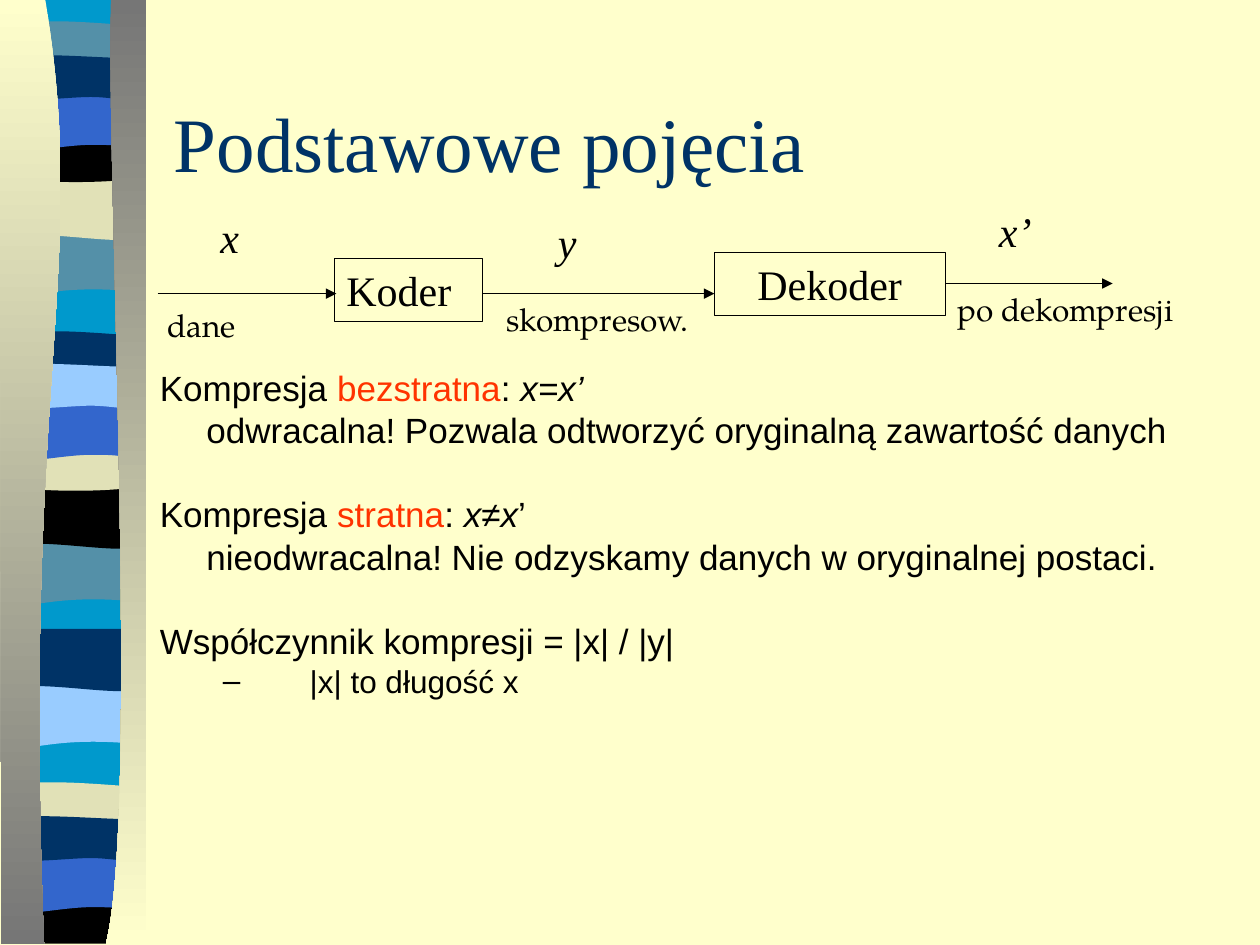
import pptx
import pptx.util
import pptx.dml.color
import pptx.enum.shapes
import pptx.enum.text
import pptx.oxml.ns
import lxml.etree

Inches, Pt = pptx.util.Inches, pptx.util.Pt
Align, Anchor = pptx.enum.text.PP_ALIGN, pptx.enum.text.MSO_ANCHOR
colour = pptx.dml.color.RGBColor.from_string
qn = pptx.oxml.ns.qn

deck = pptx.Presentation()
deck.slide_width, deck.slide_height = Inches(10), Inches(7.5)
page = deck.slides.add_slide(deck.slide_layouts[5])
page.background.fill.solid()
page.background.fill.fore_color.rgb = colour("FFFFCC")


def add_outline(segments, left=0.0, top=0.0):
    """Draw a closed outline: pairs are corners, sextets are cubic curves."""
    points = [(Inches(left + x), Inches(top + y))
              for segment in segments for x, y in zip(segment[::2], segment[1::2])]
    builder = page.shapes.build_freeform(*points[0])
    builder.add_line_segments(points[1:], close=True)
    outline = builder.convert_to_shape()
    outline.shadow.inherit = False
    outline.line.fill.background()
    # Join the three points of each curve into one cubic segment
    lines = iter(list(outline._element.iter(qn("a:lnTo"))))
    for segment in segments[1:]:
        line = next(lines)
        if len(segment) == 6:
            curve = lxml.etree.Element(qn("a:cubicBezTo"))
            line.addprevious(curve)
            for part in (line, next(lines), next(lines)):
                curve.append(part[0])
                part.getparent().remove(part)
    return outline


def write_text(box, text, font, size, italic=False, align=Align.LEFT):
    frame = box.text_frame
    frame.vertical_anchor = Anchor.TOP
    para = frame.paragraphs[0]
    para.text = text
    para.alignment = align
    para.font.name, para.font.size, para.font.italic = font, Pt(size), italic
    para.font.color.rgb = colour("000000")


# Ribbon of wavy bands, each pattern measured from its own top left corner
patterns = {
    "base": [(0, 0), (1.08, 0), (1.08, 7.48), (0, 7.48)],
    "swing": [(0, 0), (1.08, 0), (1.08, 0.47), (0.33, 0.39, 0.18, 0.55, 0, 0.47)],
    "ripple": [(0, 0), (1.08, 0), (1.08, 0.47), (0.9, 0.55, 0.33, 0.41, 0, 0.47)],
    "lens": [(0, 0.05), (0.06, 0, 0.23, 0.01, 0.41, 0.01), (0.59, 0.01, 0.94, 0.04, 1.08, 0.05),
             (1.08, 0.29), (0.9, 0.33, 0.18, 0.33, 0, 0.29)],
    "bowl": [(0, 0), (0.66, 0.05, 0.85, 0, 1.08, 0), (1.08, 0.32),
             (0.9, 0.38, 0.18, 0.38, 0, 0.32)],
    "arch": [(0, 0), (1.08, 0), (1.08, 0.47), (0.91, 0.41, 0.84, 0.41, 0.66, 0.41),
             (0.48, 0.41, 0.16, 0.47, 0, 0.47)],
    "roll": [(0, 0.05), (0.15, 0, 0.73, 0.05, 0.91, 0.05), (1.08, 0.05), (1.08, 0.36),
             (1.01, 0.41, 0.84, 0.36, 0.66, 0.36), (0.48, 0.36, 0.11, 0.41, 0, 0.36)],
    "foot": [(0, 0), (0.66, 0.05, 0.85, 0, 1.08, 0), (1.08, 0.37), (0, 0.37)],
}
bands = [
    ("base", 0, "0099CC"),
    ("swing", 1.85, "5490A8"), ("ripple", 1.41, "E1E1B7"), ("lens", 0.16, "5490A8"),
    ("bowl", 1.08, "000000"), ("arch", 0.74, "3366CC"), ("roll", 0.41, "003366"),
    ("swing", 4.31, "5490A8"), ("ripple", 3.86, "000000"), ("lens", 2.62, "003366"),
    ("bowl", 3.53, "E1E1B7"), ("arch", 3.2, "3366CC"), ("roll", 2.86, "99CCFF"),
    ("swing", 5.44, "99CCFF"), ("ripple", 4.99, "003366"), ("lens", 6.2, "E1E1B7"),
    ("foot", 7.12, "000000"), ("arch", 6.79, "3366CC"), ("roll", 6.45, "003366"),
]
for pattern, top, fill in bands:
    band = add_outline(patterns[pattern], 0.06, top)
    band.fill.solid()
    band.fill.fore_color.rgb = colour(fill)

# Shaded curtains on both sides of the ribbon
curtains = [
    ([(0, 0), (0.36, 0), (0.71, 2.16, 0.17, 2.96, 0.35, 7.49), (0.01, 7.49)], "FFFFCC", "767676"),
    ([(1.16, 0), (0.88, 0), (0.84, 1.25, 1.11, 6.46, 0.84, 7.49), (1.16, 7.49)], "767676", "FFFFCC"),
]
for segments, *shades in curtains:
    curtain = add_outline(segments)
    curtain.fill.gradient()
    curtain.fill.gradient_angle = 270
    for stop, shade in zip(curtain.fill.gradient_stops, shades):
        stop.color.rgb = colour(shade)

# Title
title = page.shapes.title
title.left, title.top, title.width, title.height = Inches(1.28), Inches(0.5), Inches(8.5), Inches(1.25)
title.text_frame.text = "Podstawowe pojęcia"
title.text_frame.vertical_anchor = Anchor.MIDDLE
para = title.text_frame.paragraphs[0]
para.alignment = Align.LEFT
para.font.name, para.font.size = "Times New Roman", Pt(44)
para.font.color.rgb = colour("003366")

# Definitions: left margin, first-line indent, space before, size, runs
body = page.shapes.add_textbox(Inches(1.17), Inches(1.58), Inches(8.5), Inches(4.5))
body.text_frame.word_wrap = True
body.text_frame.margin_top = Inches(1.39)
black, red = "000000", "FF3300"
definitions = [
    (0, 0, 0, 20, [("Kompresja ", black, False), ("bezstratna", red, False),
                   (": ", black, False), ("x=x’", black, True)]),
    (0.37, 0, 5, 20, [("odwracalna! Pozwala odtworzyć oryginalną zawartość danych", black, False)]),
    (0, 0, 29, 20, [("Kompresja ", black, False), ("stratna", red, False), (": ", black, False),
                    ("x", black, True), ("≠", black, False), ("x", black, True), ("’", black, False)]),
    (0.37, 0, 5, 20, [("nieodwracalna! Nie odzyskamy danych w oryginalnej postaci.", black, False)]),
    (0, 0, 29, 20, [("Współczynnik kompresji = |x| / |y|", black, False)]),
    (1.19, -0.69, 4.5, 18, [("|x| to długość x", black, False)]),
]
for index, (margin, indent, before, size, spans) in enumerate(definitions):
    para = body.text_frame.paragraphs[0] if index == 0 else body.text_frame.add_paragraph()
    para.line_spacing, para.space_before = 0.8, Pt(before)
    para.font.name, para.font.size = "Arial", Pt(size)
    for text, shade, italic in spans:
        span = para.add_run()
        span.text = text
        span.font.color.rgb = colour(shade)
        span.font.italic = italic
    properties = para._p.get_or_add_pPr()
    properties.set("marL", str(Inches(margin)))
    properties.set("indent", str(Inches(indent)))
    if indent:
        lxml.etree.SubElement(properties, qn("a:buFont")).set("typeface", "Arial")
        lxml.etree.SubElement(properties, qn("a:buChar")).set("char", "–")
        # Run defaults have to follow the bullet
        properties.append(properties.find(qn("a:defRPr")))

# Coder and decoder boxes
boxes = {}
for text, left, top, width, align in [("Koder", 2.65, 2.05, 1.18, Align.LEFT),
                                      ("Dekoder", 5.67, 2, 1.83, Align.CENTER)]:
    box = page.shapes.add_shape(pptx.enum.shapes.MSO_SHAPE.RECTANGLE,
                                Inches(left), Inches(top), Inches(width), Inches(0.5))
    box.shadow.inherit = False
    box.fill.background()
    box.line.color.rgb = colour("000000")
    box.line.width = Pt(0.25)
    write_text(box, text, "Times New Roman", 24, align=align)
    boxes[text] = box

# Data flow arrows
for start, end, y, source in [(1.25, 2.67, 2.33, None), (3.83, 5.67, 2.33, None),
                              (7.5, 8.83, 2.25, "Dekoder")]:
    arrow = page.shapes.add_connector(pptx.enum.shapes.MSO_CONNECTOR.STRAIGHT,
                                      Inches(start), Inches(y), Inches(end), Inches(y))
    if source:
        arrow.begin_connect(boxes[source], 3)
    arrow.line.color.rgb = colour("000000")
    arrow.line.width = Pt(0.75)
    lxml.etree.SubElement(arrow.line._get_or_add_ln(), qn("a:tailEnd")).set("type", "triangle")
    lxml.etree.SubElement(arrow._element.spPr, qn("a:effectLst"))

# Signal names above the arrows, descriptions below
symbol, caption = ("Times New Roman", 24, True), ("TeX Gyre Pagella", 18, False)
for text, left, top, width, height, style in [
    ("x", 1.65, 1.63, 0.35, 0.5, symbol),
    ("y", 4.33, 1.67, 0.35, 0.5, symbol),
    ("x’", 7.83, 1.58, 0.46, 0.5, symbol),
    ("dane", 1.23, 2.38, 0.74, 0.4, caption),
    ("skompresow.", 3.92, 2.33, 1.68, 0.4, caption),
    ("po dekompresji", 7.5, 2.25, 1.92, 0.4, caption),
]:
    label = page.shapes.add_textbox(Inches(left), Inches(top), Inches(width), Inches(height))
    label.text_frame.word_wrap = False
    write_text(label, text, *style)

deck.save("out.pptx")
